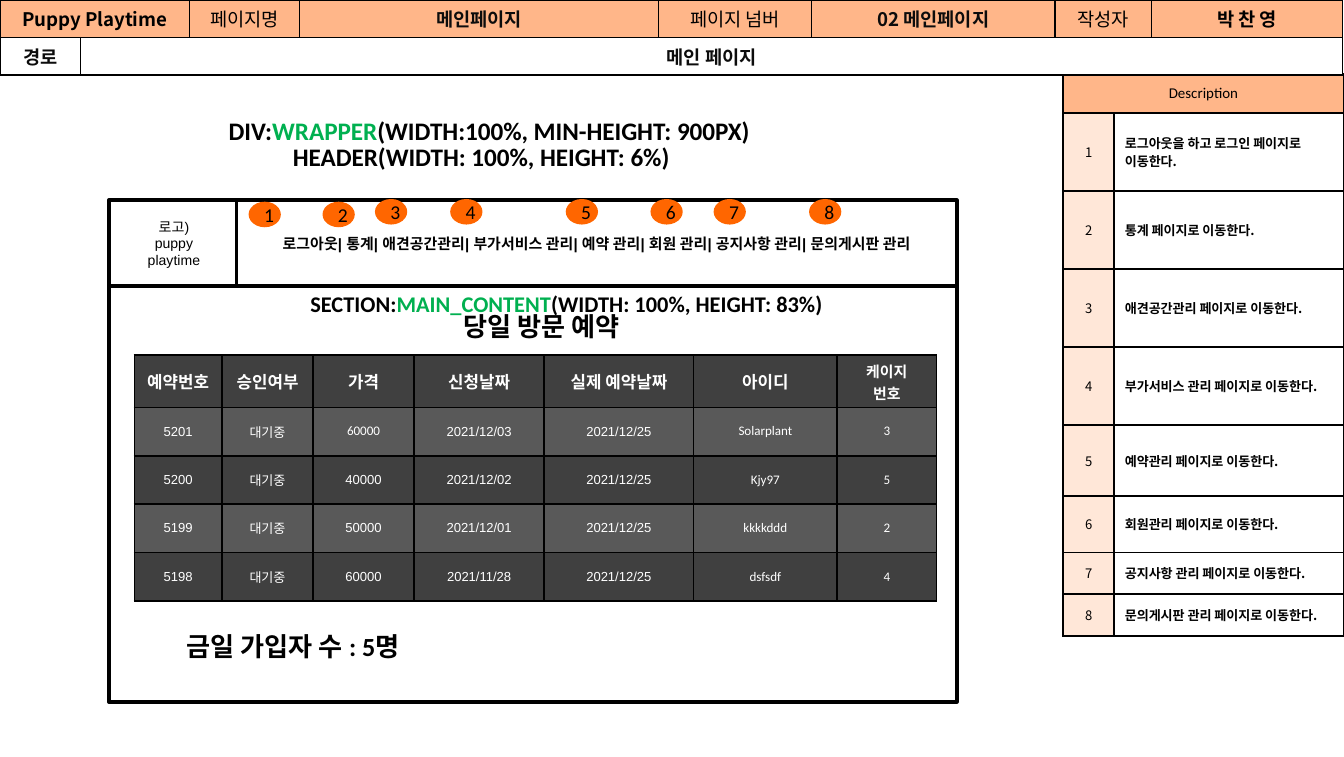
"""Builds the main page storyboard slide of a pet-care site plan."""
from dataclasses import dataclass

from lxml import etree
from pptx import Presentation
from pptx.dml.color import RGBColor
from pptx.enum.shapes import MSO_SHAPE
from pptx.enum.text import MSO_ANCHOR, PP_ALIGN
from pptx.oxml.ns import qn
from pptx.util import Inches, Pt

RECT, OVAL = MSO_SHAPE.RECTANGLE, MSO_SHAPE.OVAL
TOP, MIDDLE = MSO_ANCHOR.TOP, MSO_ANCHOR.MIDDLE
LEFT, CENTER = PP_ALIGN.LEFT, PP_ALIGN.CENTER
COLORS = {
    "black": "000000", "ink": "0C0C0C", "white": "FFFFFF", "green": "00B050",
    "peach": "FFB689", "pale": "FFE7D8", "orange": "FF6600",
    "dark": "404040", "grey": "595959",
}
NOTO, ARIAL, CALIBRI = "Noto Sans CJK KR", "Arial", "Calibri"


@dataclass(frozen=True)
class Style:
    size: float
    font: str
    color: str = "black"
    bold: bool = False
    align: PP_ALIGN = CENTER


@dataclass(frozen=True)
class Box:
    left: float
    top: float
    width: float
    height: float

    def lengths(self) -> tuple:
        return tuple(Inches(v) for v in (self.left, self.top, self.width, self.height))


@dataclass(frozen=True)
class Caption:
    box: Box
    runs: tuple
    style: Style
    wrap: bool = True


@dataclass(frozen=True)
class Entry:
    text: str
    style: Style
    fill: str
    anchor: MSO_ANCHOR = MIDDLE


def rgb(name: str) -> RGBColor:
    return RGBColor.from_string(COLORS[name])


def write(frame, lines: list, style: Style) -> None:
    """Write lines, each a sequence of (text, colour) runs."""
    for index, runs in enumerate(lines):
        paragraph = frame.add_paragraph() if index else frame.paragraphs[0]
        paragraph.alignment = style.align
        font = paragraph.font
        font.size, font.name, font.bold = Pt(style.size), style.font, style.bold
        font.color.rgb = rgb(style.color)
        for text, color in runs:
            run = paragraph.add_run()
            run.text = text
            if color != style.color:
                run.font.color.rgb = rgb(color)


def plain(text: str, style: Style) -> list:
    return [((line, style.color),) for line in text.split("\n")]


def set_margins(target, horizontal: float, vertical: float) -> None:
    target.margin_left = target.margin_right = Inches(horizontal)
    target.margin_top = target.margin_bottom = Inches(vertical)


def add_caption(slide, caption: Caption) -> None:
    frame = slide.shapes.add_textbox(*caption.box.lengths()).text_frame
    frame.word_wrap = caption.wrap
    write(frame, [caption.runs], caption.style)


def add_block(slide, kind, box: Box, fill: str, style: Style, text: str = "",
              outlined: bool = True, margin: float = 0.08) -> None:
    block = slide.shapes.add_shape(kind, *box.lengths())
    block.shadow.inherit = False
    block.fill.solid()
    block.fill.fore_color.rgb = rgb(fill)
    if outlined:
        block.line.color.rgb = rgb("black")
        block.line.width = Pt(2)
    else:
        block.line.fill.background()
    if text:
        frame = block.text_frame
        frame.vertical_anchor = MIDDLE
        set_margins(frame, margin, 0.04)
        write(frame, plain(text, style), style)


def add_borders(cell) -> None:
    properties = cell._tc.get_or_add_tcPr()
    for position, side in enumerate(("lnL", "lnR", "lnT", "lnB")):
        line = etree.Element(qn(f"a:{side}"), w=str(Pt(1)))
        fill = etree.SubElement(line, qn("a:solidFill"))
        etree.SubElement(fill, qn("a:srgbClr"), val=COLORS["black"])
        properties.insert(position, line)


def add_grid(slide, left: float, top: float, widths: list, heights: list,
             rows: list, merges: tuple = (), margins: tuple = (0.08, 0.04)) -> None:
    """Draw a bordered table; None entries are covered by a merge."""
    box = Box(left, top, sum(widths), sum(heights))
    table = slide.shapes.add_table(len(heights), len(widths), *box.lengths()).table
    table.first_row = table.horz_banding = False
    for column, width in zip(table.columns, widths):
        column.width = Inches(width)
    for row, height in zip(table.rows, heights):
        row.height = Inches(height)
    for row, first, last in merges:
        table.cell(row, first).merge(table.cell(row, last))
    for r, entries in enumerate(rows):
        for c, entry in enumerate(entries):
            cell = table.cell(r, c)
            if entry:
                cell.fill.solid()
                cell.fill.fore_color.rgb = rgb(entry.fill)
                cell.vertical_anchor = entry.anchor
                set_margins(cell, *margins)
                write(cell.text_frame, plain(entry.text, entry.style), entry.style)
            add_borders(cell)


def booking_entry(row: int, column: int, text: str) -> Entry:
    if row == 0:
        font = ARIAL if column < 2 else CALIBRI
        return Entry(text, Style(8 if column == 6 else 9, font, "white", True), "dark")
    font = CALIBRI if column >= 5 or (row, column) == (1, 2) else ARIAL
    return Entry(text, Style(7, font, "white"), "grey" if row % 2 else "dark")


presentation = Presentation()
presentation.slide_width, presentation.slide_height = Inches(10), Inches(5.63)
slide = presentation.slides.add_slide(presentation.slide_layouts[6])

number_style = Style(7, NOTO)
note_style = Style(7, NOTO, bold=True, align=LEFT)
menu_pages = ["로그아웃을 하고 로그인", "통계", "애견공간관리", "부가서비스 관리",
              "예약관리", "회원관리", "공지사항 관리", "문의게시판 관리"]
descriptions = [[Entry("Description", Style(8, CALIBRI), "peach"), None]] + [
    [Entry(str(number), number_style, "pale"),
     Entry(f"{page} 페이지로 이동한다.", note_style, "white")]
    for number, page in enumerate(menu_pages, 1)
]
add_grid(slide, 7.91, 0.55, [0.38, 1.71],
         [0.29] + [0.58] * 4 + [0.53, 0.42, 0.31, 0.31],
         descriptions, ((0, 0, 1),), (0.08, 0.03))

label = Style(10, NOTO)
title = Style(10, NOTO, bold=True)
value = Style(10, NOTO, "ink", True)
page_info = [("Puppy Playtime", title), None, ("페이지명", label), ("메인페이지", value),
             ("페이지 넘버", label), ("02 메인페이지", value), ("작성자", label),
             ("박 찬 영", title)]
page_rows = [
    [Entry(*item, "peach", TOP) if item else None for item in page_info],
    [Entry("경로", value, "white"), Entry("메인 페이지", value, "white")] + [None] * 6,
]
add_grid(slide, 0, 0, [0.6, 0.81, 0.82, 2.67, 1.14, 1.81, 0.72, 1.42], [0.27, 0.27],
         page_rows, ((0, 0, 1), (1, 1, 7)), (0.09, 0.04))

logo_style = Style(7.5, ARIAL)
add_block(slide, RECT, Box(0.81, 1.49, 0.97, 0.64), "white", logo_style,
          "로고)\npuppy\nplaytime")
add_block(slide, RECT, Box(0.81, 2.13, 6.31, 3.09), "white", logo_style)

section_style = Style(12, CALIBRI, bold=True)
layout_style = Style(13.5, CALIBRI, bold=True)
heading_style = Style(14, CALIBRI, bold=True, align=LEFT)
captions = [
    Caption(Box(1.69, 2.11, 5.05, 0.29),
            (("SECTION:", "black"), ("MAIN_CONTENT", "green"),
             ("(WIDTH: 100%, HEIGHT: 83%)", "black")), section_style),
    Caption(Box(1.07, 0.81, 5.14, 0.33),
            (("DIV:", "black"), ("WRAPPER", "green"),
             ("(WIDTH:100%, MIN-HEIGHT: 900PX)", "black")), layout_style),
    Caption(Box(1.69, 1, 3.78, 0.33),
            (("HEADER(WIDTH: 100%, HEIGHT: 6%)", "black"),), layout_style),
    Caption(Box(3.35, 2.26, 1.47, 0.34), (("당일 방문 예약", "black"),), heading_style, False),
    Caption(Box(1.29, 4.64, 1.91, 0.34), (("금일 가입자 수 : 5명", "black"),),
            heading_style, False),
]
for caption in captions:
    add_caption(slide, caption)

bookings = [
    ("예약번호", "승인여부", "가격", "신청날짜", "실제 예약날짜", "아이디", "케이지\n번호"),
    ("5201", "대기중", "60000", "2021/12/03", "2021/12/25", "Solarplant", "3"),
    ("5200", "대기중", "40000", "2021/12/02", "2021/12/25", "Kjy97", "5"),
    ("5199", "대기중", "50000", "2021/12/01", "2021/12/25", "kkkkddd", "2"),
    ("5198", "대기중", "60000", "2021/11/28", "2021/12/25", "dsfsdf", "4"),
]
add_grid(slide, 1, 2.64, [0.65, 0.68, 0.75, 0.97, 1.11, 1.07, 0.74], [0.39] + [0.36] * 4,
         [[booking_entry(r, c, text) for c, text in enumerate(row)]
          for r, row in enumerate(bookings)])

menu = ["로그아웃", "통계", "애견공간관리", "부가서비스 관리", "예약 관리", "회원 관리",
        "공지사항 관리", "문의게시판 관리"]
add_block(slide, RECT, Box(1.76, 1.49, 5.36, 0.64), "white", Style(8, ARIAL, bold=True),
          "| ".join(menu), margin=0.1)
for number, left in enumerate((1.85, 2.4, 2.79, 3.35, 4.21, 4.84, 5.31, 6.02), 1):
    marker = Box(left, 1.5 if number <= 2 else 1.48, 0.24, 0.19)
    add_block(slide, OVAL, marker, "orange", Style(10.5, CALIBRI), str(number), False)

presentation.save("out.pptx")
